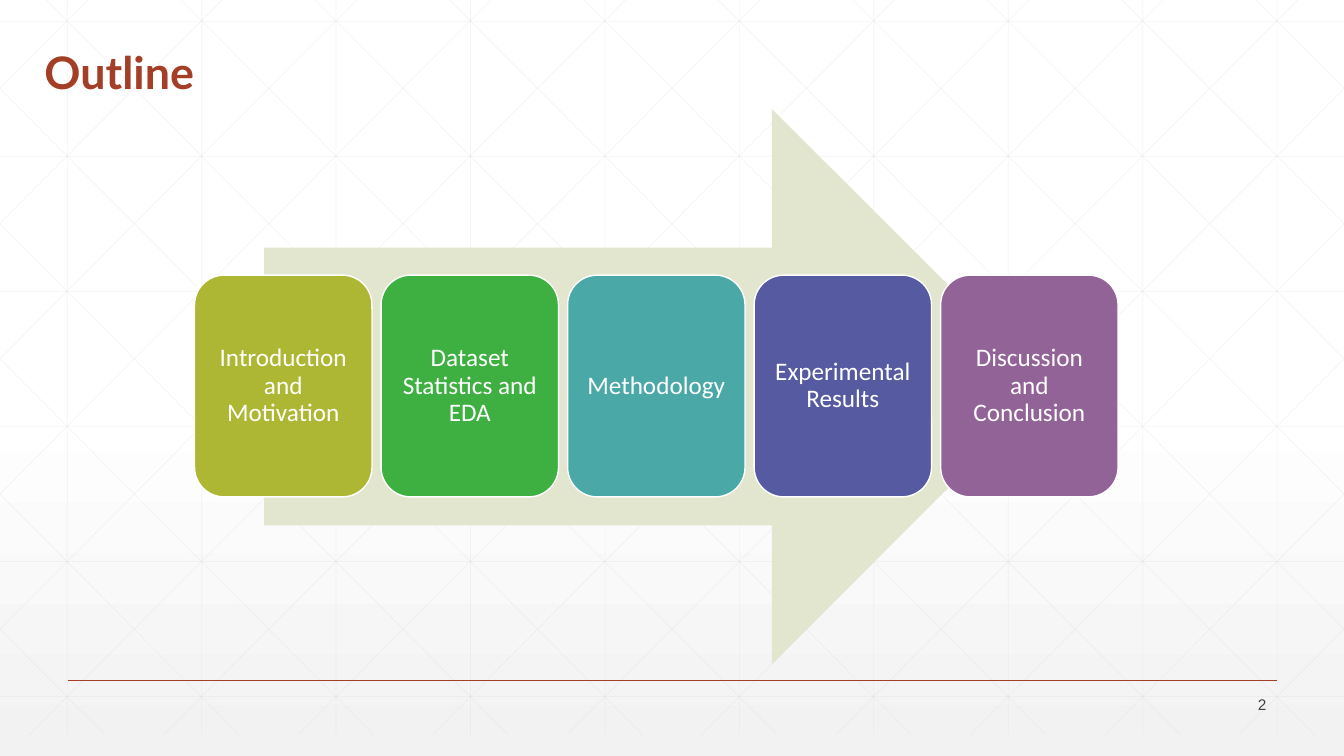
from copy import deepcopy
from dataclasses import dataclass

from lxml import etree
from pptx import Presentation
from pptx.dml.color import RGBColor
from pptx.enum.shapes import MSO_CONNECTOR, MSO_SHAPE
from pptx.enum.text import MSO_ANCHOR, MSO_AUTO_SIZE, PP_ALIGN
from pptx.oxml.ns import qn
from pptx.util import Inches, Pt

STRAIGHT = MSO_CONNECTOR.STRAIGHT
ARROW, CARD = MSO_SHAPE.RIGHT_ARROW, MSO_SHAPE.ROUNDED_RECTANGLE
MIDDLE, BOTTOM = MSO_ANCHOR.MIDDLE, MSO_ANCHOR.BOTTOM
LEFT, CENTER, RIGHT = PP_ALIGN.LEFT, PP_ALIGN.CENTER, PP_ALIGN.RIGHT
NO_FIT = MSO_AUTO_SIZE.NONE

WIDTH, HEIGHT = 13.33, 7.5
FLOOR = 7.29
CELL = 4 / 3
SLOPE = 1.006
STEPS = [
    ("Introduction and Motivation", "AEB733"),
    ("Dataset Statistics and EDA", "3EB042"),
    ("Methodology", "4AA8A6"),
    ("Experimental Results", "565AA0"),
    ("Discussion and Conclusion", "926397"),
]


@dataclass(frozen=True)
class Theme:
    """Colours, fonts and type sizes of the slide."""
    white: str = "FFFFFF"
    shade: str = "F2F2F2"
    mesh: str = "D9D9D9"
    accent: str = "A43F27"
    pale: str = "E3E6CE"
    ink: str = "424342"
    head: tuple = ("Lato", 32)
    body: tuple = ("Calibri", 18)
    small: tuple = ("Arial", 11)


def rgb(code):
    """Turn a hex code into a colour."""
    return RGBColor.from_string(code)


class Deck:
    """Draw styled elements on the current slide."""

    def __init__(self, theme):
        """Open a deck with one title-only slide."""
        self.theme = theme
        self.prs = Presentation()
        self.prs.slide_width = Inches(WIDTH)
        self.prs.slide_height = Inches(HEIGHT)
        self.slide = self.prs.slides.add_slide(self.prs.slide_layouts[5])
        self.shapes = self.slide.shapes

    def backdrop(self):
        """Fade the background from white to grey."""
        fill = self.slide.background.fill
        fill.gradient()
        fill.gradient_angle = 270
        codes = (self.theme.white, self.theme.shade)
        for stop, code, place in zip(fill.gradient_stops, codes, (0.53, 1)):
            stop.color.rgb = rgb(code)
            stop.position = place
        stops = self.slide.element.find(".//" + qn("a:gsLst"))
        first = deepcopy(stops[0])
        first.set("pos", "0")
        stops.insert(0, first)

    def line(self, start, end, code, weight, alpha=None):
        """Draw a straight line, see-through if alpha is given."""
        rule = self.shapes.add_connector(
            STRAIGHT, *(Inches(v) for v in (*start, *end)))
        rule.line.color.rgb = rgb(code)
        rule.line.width = Pt(weight)
        if alpha:
            tint = rule.element.find(".//" + qn("a:srgbClr"))
            etree.SubElement(tint, qn("a:alpha")).set("val", str(alpha * 1000))
        etree.SubElement(rule.element.spPr, qn("a:effectLst"))

    def mesh(self):
        """Cover the slide with faint upright, level and slanted lines."""
        ends = [((x, 0), (x, FLOOR))
                for x in (CELL * (k + 0.5) for k in range(10))]
        ends += [((0, y), (WIDTH, y))
                 for y in (0.21 + 1.34 * k for k in range(6))]
        for k in range(-5, 10):
            base = 0.46 + CELL * k
            top = max(0, -base * SLOPE)
            low = min(FLOOR, (WIDTH - base) * SLOPE)
            left, right = base + top / SLOPE, base + low / SLOPE
            ends += [((left, top), (right, low)),
                     ((WIDTH - left, top), (WIDTH - right, low))]
        for start, end in ends:
            self.line(start, end, self.theme.mesh, 0.5, 25)

    def label(self, shape, text, font, code, align, anchor, bold=False):
        """Put one styled paragraph into a shape."""
        frame = shape.text_frame
        frame.text = text
        frame.word_wrap = True
        frame.auto_size = NO_FIT
        frame.vertical_anchor = anchor
        para = frame.paragraphs[0]
        para.alignment = align
        para.line_spacing = 0.9
        face = para.runs[0].font
        face.name, face.size = font[0], Pt(font[1])
        face.bold = bold
        face.color.rgb = rgb(code)

    def title(self, text, box):
        """Place the title above the mesh."""
        head = self.shapes.title
        head.left, head.top, head.width, head.height = map(Inches, box)
        head.element.getparent().append(head.element)
        self.label(head, text, self.theme.head, self.theme.accent,
                   LEFT, BOTTOM, True)

    def number(self, text, box):
        """Place the page number."""
        note = self.shapes.add_textbox(*map(Inches, box))
        self.label(note, text, self.theme.small, self.theme.ink, RIGHT, MIDDLE)

    def shape(self, kind, box, code):
        """Add a flat shape without an outline."""
        form = self.shapes.add_shape(kind, *map(Inches, box))
        form.shadow.inherit = False
        form.fill.solid()
        form.fill.fore_color.rgb = rgb(code)
        form.line.fill.background()
        return form

    def card(self, text, box, code):
        """Add a rounded step with a white edge."""
        form = self.shape(CARD, box, code)
        form.line.color.rgb = rgb(self.theme.white)
        form.line.width = Pt(1)
        self.label(form, text, self.theme.body, self.theme.white,
                   CENTER, MIDDLE)
        frame = form.text_frame
        frame.margin_left = frame.margin_right = Inches(0.07)
        frame.margin_top = frame.margin_bottom = Inches(0.07)


def main():
    """Build and save the outline slide."""
    theme = Theme()
    deck = Deck(theme)
    deck.backdrop()
    deck.mesh()
    deck.line((0.67, 6.75), (12.67, 6.75), theme.accent, 1)
    deck.title("Outline", (0.34, 0.42, 10.5, 0.61))
    deck.number("2", (11.66, 6.88, 1, 0.24))
    deck.shape(ARROW, (2.62, 1.08, 7.79, 5.51), theme.pale)
    for i, (text, code) in enumerate(STEPS):
        deck.card(text, (1.93 + 1.85 * i, 2.73, 1.76, 2.2), code)
    deck.prs.save("out.pptx")


if __name__ == "__main__":
    main()
